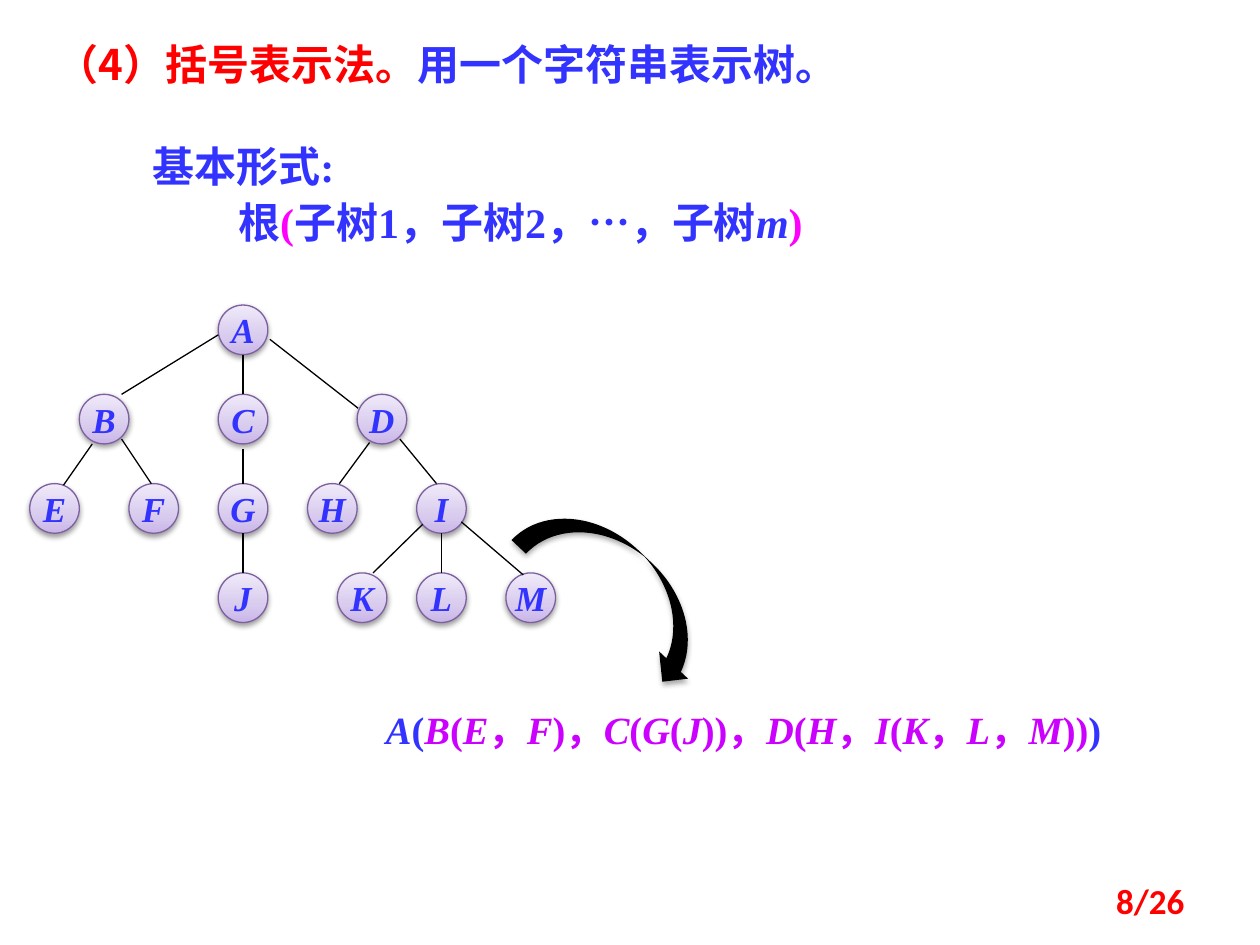
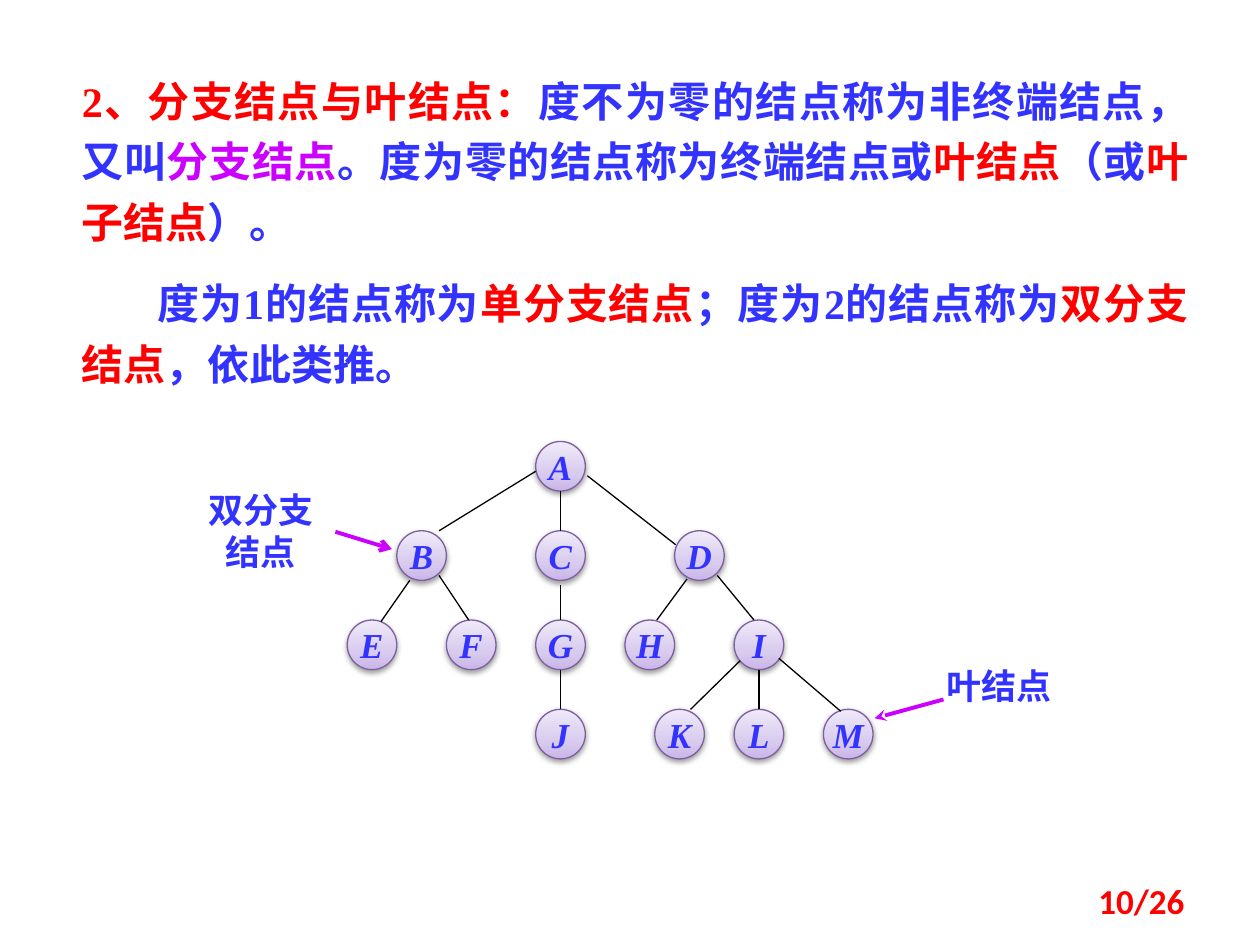
"""Build two slides on the bracket notation of trees and on branch and leaf nodes."""
from itertools import groupby

from lxml.etree import SubElement
from pptx import Presentation
from pptx.dml.color import RGBColor
from pptx.enum.shapes import MSO_CONNECTOR, MSO_SHAPE
from pptx.enum.text import MSO_ANCHOR, MSO_AUTO_SIZE, PP_ALIGN
from pptx.oxml import parse_xml
from pptx.oxml.ns import qn
from pptx.util import Cm, Pt

BLUE, RED, PINK, PURPLE = "3333FF", "FF0000", "FF00FF", "CC00FF"
BLACK, RIM = "000000", "7D60A0"
STOPS = [(0, "C9B5E8"), (35, "D8CBEE"), (100, "F0EAF9")]
SERIF, SANS, FOOT = "Times New Roman", "Noto Sans CJK SC", "Calibri"
NS = "http://schemas.openxmlformats.org/drawingml/2006/main"

STEP, SIZE = 1.8, 1
NODES = {
    "A": (0, 0),
    "B": (-2.8, 1), "C": (0, 1), "D": (2.8, 1),
    "E": (-3.8, 2), "F": (-1.8, 2), "G": (0, 2), "H": (1.8, 2), "I": (4, 2),
    "J": (0, 3), "K": (2.4, 3), "L": (4, 3), "M": (5.8, 3),
}
EDGES = [
    ("AB", (0, 0.6), (0.85, 0)), ("AC", (0.5, 1), (0.5, 0)),
    ("AD", (1.04, 0.69), (0.02, 0.28)), ("BE", (0.26, 1), (0.68, 0.03)),
    ("BF", (0.85, 0.9), (0.45, 0)), ("CG", (0.5, 1.1), (0.5, 0)),
    ("GJ", (0.5, 1), (0.5, 0)), ("DH", (0.25, 0.97), (0.64, 0)),
    ("DI", (0.86, 0.9), (0.4, 0)), ("IK", (0.12, 0.82), (0.72, 0)),
    ("IL", (0.5, 1), (0.5, 0)), ("IM", (0.9, 0.77), (0.35, 0.04)),
]

HEAD = [("（4）括号表示法。", RED, SANS), ("用一个字符串表示树。", BLUE)]
FORM = [
    [("基本形式:", BLUE)],
    [("根", BLUE), ("(", PINK), ("子树1，子树2，", BLUE), ("…，", BLUE, SANS),
     ("子树", BLUE), ("m", BLUE, SERIF, True), (")", PINK)],
]
CODE = "A(B(E，F)，C(G(J))，D(H，I(K，L，M)))"
TERMS = [
    [("2、分支结点与叶结点：", RED), ("度不为零的结点称为非终端结点，又叫", BLUE),
     ("分支结点", PURPLE), ("。度为零的结点称为终端结点或", BLUE),
     ("叶结点", RED), ("（或", BLUE), ("叶子结点", RED), ("）。", BLUE)],
    [("度为1的结点称为", BLUE), ("单分支结点", RED), ("；度为2的结点称为", BLUE),
     ("双分支结点", RED), ("，依此类推。", BLUE)],
]
LABELS = [("叶结点", (18.64, 13.28, 3, 1.12)), ("双分支结点", (3.76, 9.73, 3, 1.96))]
POINTERS = [((19.02, 14.1), (17.63, 14.48), "stealth"),
            ((6.76, 10.72), (7.9, 11.07), "arrow")]


def paint(hue):
    """Turn a hex string into a colour."""
    return RGBColor.from_string(hue)


def write(para, runs, size, align=PP_ALIGN.LEFT):
    """Add runs of (text, colour, font, italic) to a paragraph."""
    para.alignment = align
    for text, hue, face, slant in [(*r, *(SERIF, False)[len(r) - 2:]) for r in runs]:
        run = para.add_run()
        run.text = text
        font = run.font
        font.size, font.bold, font.italic, font.name = Pt(size), True, slant, face
        font.color.rgb = paint(hue)
        SubElement(run._r.get_or_add_rPr(), qn("a:ea")).set("typeface", SANS)


def fill_text(shape, paras, size, align=PP_ALIGN.LEFT, anchor=MSO_ANCHOR.TOP):
    """Write paragraphs into a shape and return them."""
    frame = shape.text_frame
    frame.word_wrap, frame.vertical_anchor = True, anchor
    frame.auto_size = MSO_AUTO_SIZE.NONE
    for pos, runs in enumerate(paras):
        para = frame.add_paragraph() if pos else frame.paragraphs[0]
        write(para, runs, size, align)
    return frame.paragraphs


def add_text(slide, box, *args):
    """Add a text box and return its paragraphs."""
    return fill_text(slide.shapes.add_textbox(*map(Cm, box)), *args)


def indent(para, width):
    """Indent the first line of a paragraph."""
    para._p.get_or_add_pPr().set("indent", str(Cm(width)))


def shade(shape, alpha, dist):
    """Give a shape a soft shadow below."""
    shape.shadow.inherit = False
    shape._element.spPr.find(qn("a:effectLst")).append(parse_xml(
        f'<a:outerShdw xmlns:a="{NS}" blurRad="40000" dist="{dist}" dir="5400000" '
        f'rotWithShape="0"><a:srgbClr val="{BLACK}"><a:alpha val="{alpha}000"/>'
        '</a:srgbClr></a:outerShdw>'))


def add_line(shapes, start, end, hue=BLACK, width=0.75, tip=None):
    """Draw a straight line, with an arrowhead if one is named."""
    line = shapes.add_connector(MSO_CONNECTOR.STRAIGHT, *map(Cm, (*start, *end)))
    line.line.color.rgb, line.line.width = paint(hue), Pt(width)
    if tip:
        SubElement(line.line._get_or_add_ln(), qn("a:tailEnd")).set("type", tip)
    SubElement(line._element.spPr, qn("a:effectLst"))


def add_node(shapes, name, place):
    """Draw one round tree node."""
    node = shapes.add_shape(MSO_SHAPE.OVAL, *map(Cm, (*place, SIZE, SIZE)))
    node.line.color.rgb, node.line.width = paint(RIM), Pt(0.75)
    stops = "".join(f'<a:gs pos="{pos}000"><a:srgbClr val="{hue}"/></a:gs>'
                    for pos, hue in STOPS)
    node.line._get_or_add_ln().addprevious(parse_xml(
        f'<a:gradFill xmlns:a="{NS}" rotWithShape="1"><a:gsLst>{stops}</a:gsLst>'
        '<a:lin ang="16200000" scaled="0"/></a:gradFill>'))
    shade(node, 38, 20000)
    fill_text(node, [[(name, BLUE, SERIF, True)]], 20, PP_ALIGN.CENTER,
              MSO_ANCHOR.MIDDLE)
    node.text_frame.word_wrap = False


def add_tree(slide, left, top):
    """Draw the tree as a group with its root at the given place."""
    shapes = slide.shapes.add_group_shape().shapes
    spots = {name: (left + x, top + row * STEP) for name, (x, row) in NODES.items()}
    for name, place in spots.items():
        add_node(shapes, name, place)
    for pair, *shifts in EDGES:
        ends = [(spots[name][0] + dx, spots[name][1] + dy)
                for name, (dx, dy) in zip(pair, shifts)]
        add_line(shapes, *ends)


def add_page(slide, num):
    """Write the page count at the lower right."""
    add_text(slide, (18.21, 17.65, 5.92, 1.02), [[(f"{num}/26", RED, FOOT)]], 20,
             PP_ALIGN.RIGHT, MSO_ANCHOR.MIDDLE)


def code_runs():
    """Split the bracket string into runs: letters slant, the root is blue."""
    last = len(CODE) - 1
    marks = [(char, BLUE if pos in (0, 1, last) else PURPLE, char.isalpha())
             for pos, char in enumerate(CODE)]
    return [("".join(m[0] for m in part), hue, SERIF, slant)
            for (hue, slant), part in groupby(marks, lambda m: m[1:])]


def bracket_slide(deck):
    """Build the slide on bracket notation."""
    slide = deck.slides.add_slide(deck.slide_layouts[5])
    title = slide.shapes.title
    title.left, title.top, title.width, title.height = map(Cm, (0.89, 0.53, 22.7, 1.4))
    lines = [*fill_text(title, [HEAD], 24),
             *add_text(slide, (0.89, 2.6, 22.7, 2.5), FORM, 24)]
    for para, width in zip(lines, (0, 1.93, 3.66)):
        para.line_spacing = Pt(32)
        indent(para, width)
    add_tree(slide, 4.4, 6.15)
    add_text(slide, (6.76, 14.1, 16.46, 1.19), [code_runs()], 22, PP_ALIGN.CENTER)
    arrow = slide.shapes.add_shape(MSO_SHAPE.CURVED_DOWN_ARROW,
                                   *map(Cm, (10.24, 11.07, 4.57, 1.6)))
    arrow.rotation = 43.2
    arrow.fill.solid()
    arrow.fill.fore_color.rgb = paint(BLACK)
    arrow.line.fill.background()
    shade(arrow, 35, 23000)
    add_page(slide, 8)


def terms_slide(deck):
    """Build the slide on branch and leaf nodes."""
    slide = deck.slides.add_slide(deck.slide_layouts[6])
    paras = add_text(slide, (1.4, 1.19, 22.81, 6.93), TERMS, 24, PP_ALIGN.JUSTIFY)
    for para in paras:
        para.line_spacing = 1.2
    paras[1].space_before = Pt(12)
    indent(paras[1], 1.52)
    for text, box in LABELS:
        add_text(slide, box, [[(text, BLUE)]], 20, PP_ALIGN.CENTER)
    for start, end, tip in POINTERS:
        add_line(slide.shapes, start, end, PURPLE, 2.25, tip)
    add_tree(slide, 10.8, 8.9)
    add_page(slide, 10)


deck = Presentation()
deck.slide_width, deck.slide_height = Cm(25.4), Cm(19.05)
bracket_slide(deck)
terms_slide(deck)
deck.save("out.pptx")
